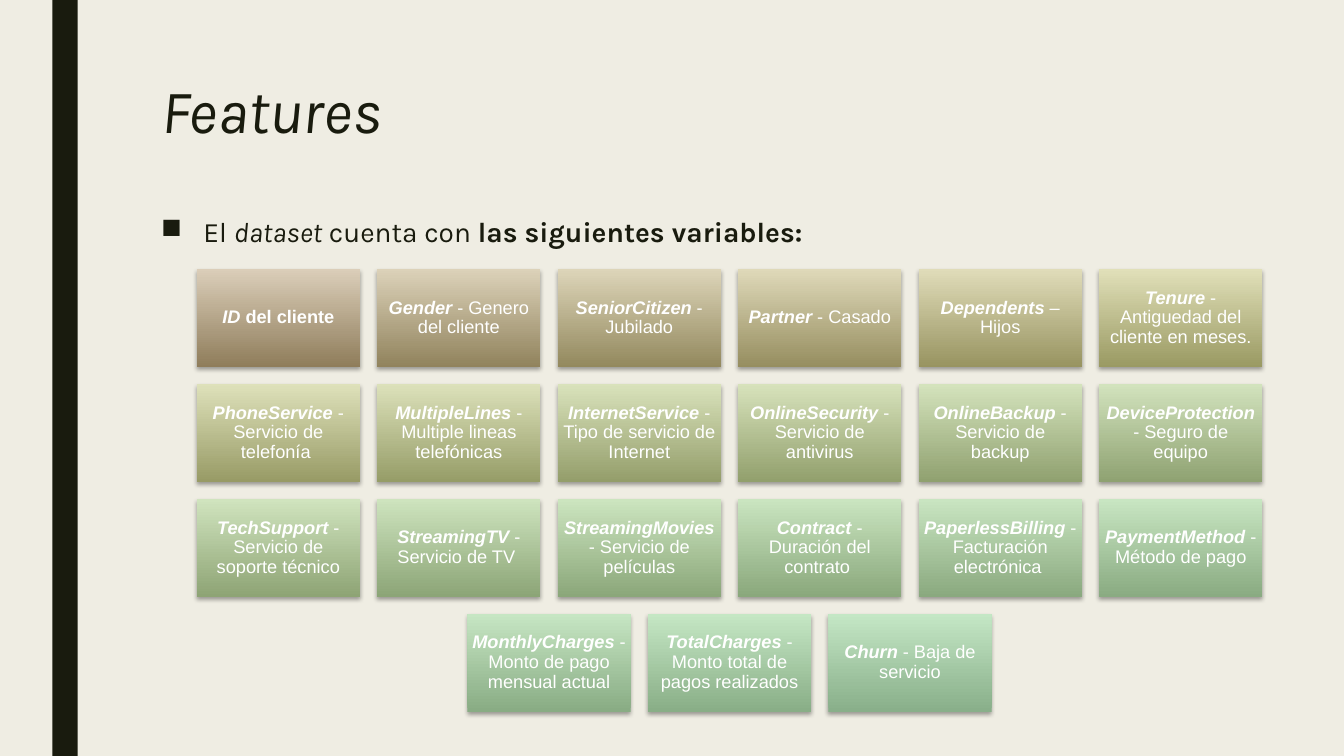
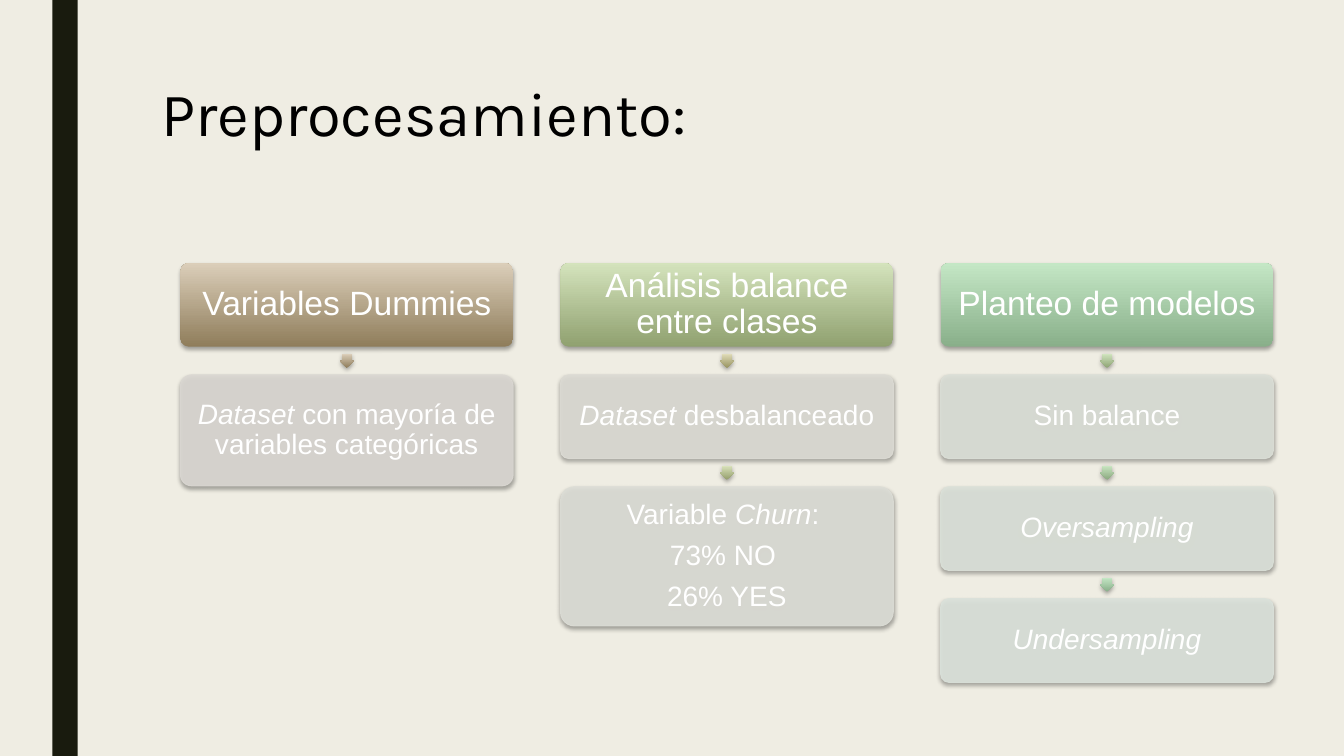
from dataclasses import dataclass
from typing import NamedTuple

from lxml import etree
from pptx import Presentation
from pptx.dml.color import RGBColor
from pptx.enum.shapes import MSO_SHAPE
from pptx.enum.text import MSO_ANCHOR, PP_ALIGN
from pptx.oxml.ns import qn
from pptx.util import Inches, Pt

RECT = MSO_SHAPE.RECTANGLE
ROUNDED = MSO_SHAPE.ROUNDED_RECTANGLE
ARROW = MSO_SHAPE.RIGHT_ARROW
TOP, MIDDLE, BOTTOM = MSO_ANCHOR.TOP, MSO_ANCHOR.MIDDLE, MSO_ANCHOR.BOTTOM
LEFT, CENTER, JUSTIFY = PP_ALIGN.LEFT, PP_ALIGN.CENTER, PP_ALIGN.JUSTIFY


@dataclass(frozen=True)
class Theme:
    paper: str = "EFEDE3"
    ink: str = "191B0E"
    black: str = "000000"
    white: str = "FFFFFF"
    dark_ramp: tuple[str, ...] = ("8F7D5B", "9A9A63", "90A170", "8AA87C", "89AF8A")
    light_ramp: tuple[str, ...] = ("DBCEB9", "E1E0B9", "D4E3BC", "CAE5C0", "C4E7C5")
    step_tints: tuple[str, ...] = ("DAD7D2", "DCDBD4", "DCDDD6", "DBDFD7", "DBE1D9", "DBE2DB")
    heading_font: str = "Karla"
    diagram_font: str = "Arial"
    title_size: int = 44
    header_size: int = 24
    body_size: int = 20
    tile_size: int = 13


class Box(NamedTuple):
    left: float
    top: float
    width: float
    height: float


class Run(NamedTuple):
    text: str
    bold: bool = False
    italic: bool = False


class Style(NamedTuple):
    font: str
    size: int
    color: str
    align: PP_ALIGN
    spacing: float
    anchor: MSO_ANCHOR
    margins: tuple[float, float, float, float]
    after: float = 0


class Feature(NamedTuple):
    name: str
    meaning: str
    bold_meaning: bool = False


class Step(NamedTuple):
    height: float
    paragraphs: list[list[Run]]


class Stage(NamedTuple):
    header: str
    steps: list[Step]


THEME = Theme()
TITLE_MARGINS = (0.1, 0.05, 0.1, 0.05)
TILE_STYLE = Style(THEME.diagram_font, THEME.tile_size, THEME.white, CENTER, 0.9, MIDDLE, (0.05,) * 4)
HEADER_STYLE = Style(THEME.diagram_font, THEME.header_size, THEME.white, CENTER, 0.9, MIDDLE, (0.03,) * 4)
STEP_STYLE = HEADER_STYLE._replace(size=THEME.body_size, after=8)
INTRO_STYLE = Style(THEME.heading_font, THEME.body_size, THEME.ink, JUSTIFY, 0.94, BOTTOM, (0.1, 0.05, 0.1, 0.1))

FEATURE_ROWS = [
    [
        Feature("ID", " del cliente", True),
        Feature("Gender", " - Genero del cliente"),
        Feature("SeniorCitizen", " - Jubilado"),
        Feature("Partner", " - Casado"),
        Feature("Dependents", " – Hijos"),
        Feature("Tenure", " - Antiguedad del cliente en meses."),
    ],
    [
        Feature("PhoneService", " - Servicio de telefonía "),
        Feature("MultipleLines", " - Multiple lineas telefónicas"),
        Feature("InternetService", " - Tipo de servicio de Internet"),
        Feature("OnlineSecurity", " - Servicio de antivirus"),
        Feature("OnlineBackup", " - Servicio de backup"),
        Feature("DeviceProtection", " - Seguro de equipo"),
    ],
    [
        Feature("TechSupport", " - Servicio de soporte técnico"),
        Feature("StreamingTV", " - Servicio de TV "),
        Feature("StreamingMovies", " - Servicio de películas"),
        Feature("Contract", " - Duración del contrato "),
        Feature("PaperlessBilling", " - Facturación electrónica "),
        Feature("PaymentMethod", " - Método de pago"),
    ],
    [
        Feature("MonthlyCharges", " - Monto de pago mensual actual"),
        Feature("TotalCharges", " - Monto total de pagos realizados"),
        Feature("Churn", " - Baja de servicio"),
    ],
]

STAGES = [
    Stage("Variables Dummies", [
        Step(1.1, [[Run("Dataset", italic=True), Run(" con mayoría de variables categóricas")]]),
    ]),
    Stage("Análisis balance entre clases", [
        Step(0.83, [[Run("Dataset", italic=True), Run(" desbalanceado")]]),
        Step(1.38, [
            [Run("Variable "), Run("Churn", italic=True), Run(": ")],
            [Run("73% NO ")],
            [Run("26% YES")],
        ]),
    ]),
    Stage("Planteo de modelos", [
        Step(0.83, [[Run("Sin balance")]]),
        Step(0.83, [[Run("Oversampling", italic=True)]]),
        Step(0.83, [[Run("Undersampling", italic=True)]]),
    ]),
]


def rgb(color: str) -> RGBColor:
    return RGBColor.from_string(color)


def blend(ramp: tuple[str, ...], fraction: float) -> RGBColor:
    position = fraction * (len(ramp) - 1)
    start = min(int(position), len(ramp) - 2)
    share = position - start
    pairs = zip(rgb(ramp[start]), rgb(ramp[start + 1]))
    return RGBColor(*(round(a + (b - a) * share) for a, b in pairs))


def apply(target, values: dict) -> None:
    for attribute, value in values.items():
        setattr(target, attribute, value)


def write(frame, paragraphs: list[list[Run]], style: Style) -> None:
    left, top, right, bottom = map(Inches, style.margins)
    apply(frame, {
        "word_wrap": True, "vertical_anchor": style.anchor,
        "margin_left": left, "margin_top": top,
        "margin_right": right, "margin_bottom": bottom,
    })
    for index, runs in enumerate(paragraphs):
        paragraph = frame.add_paragraph() if index else frame.paragraphs[0]
        apply(paragraph, {
            "alignment": style.align, "line_spacing": style.spacing,
            "space_before": Pt(0), "space_after": Pt(style.after),
        })
        for part in runs:
            run = paragraph.add_run()
            run.text = part.text
            apply(run.font, {
                "name": style.font, "size": Pt(style.size),
                "bold": part.bold, "italic": part.italic,
            })
            run.font.color.rgb = rgb(style.color)


def add_text(slide, box: Box, runs: list[Run], style: Style):
    frame = slide.shapes.add_textbox(*map(Inches, box)).text_frame
    write(frame, [runs], style)
    return frame


def add_block(slide, kind: MSO_SHAPE, box: Box):
    block = slide.shapes.add_shape(kind, *map(Inches, box))
    block.shadow.inherit = False
    block.line.fill.background()
    return block


def cast_shadow(block) -> None:
    effects = block.element.spPr.find(qn("a:effectLst"))
    shadow = etree.SubElement(effects, qn("a:outerShdw"), {
        "blurRad": str(Pt(3.1)), "dist": str(Pt(1.8)), "dir": "5400000", "rotWithShape": "0",
    })
    color = etree.SubElement(shadow, qn("a:srgbClr"), val=THEME.black)
    etree.SubElement(color, qn("a:alpha"), val="35000")


def add_gradient_block(slide, kind: MSO_SHAPE, box: Box, fraction: float):
    block = add_block(slide, kind, box)
    block.fill.gradient()
    block.fill.gradient_angle = 90
    for stop, ramp in zip(block.fill.gradient_stops, (THEME.dark_ramp, THEME.light_ramp)):
        stop.color.rgb = blend(ramp, fraction)
    block.element.spPr.find(qn("a:gradFill")).set("rotWithShape", "0")
    cast_shadow(block)
    return block


def add_step_block(slide, box: Box, tint: str):
    block = add_block(slide, ROUNDED, box)
    block.fill.solid()
    block.fill.fore_color.rgb = rgb(tint)
    block.line.color.rgb = rgb(tint)
    block.line.width = Pt(0.75)
    for color in block.element.spPr.iter(qn("a:srgbClr")):
        etree.SubElement(color, qn("a:alpha"), val="90000")
    cast_shadow(block)
    return block


def round_corners(block, box: Box) -> None:
    block.adjustments[0] = 0.1


def add_titled_slide(prs, title: Run, color: str, spacing: float):
    slide = prs.slides.add_slide(prs.slide_layouts[6])
    band = add_block(slide, RECT, Box(0.52, 0, 0.25, 7.5))
    band.fill.solid()
    band.fill.fore_color.rgb = rgb(THEME.ink)
    style = Style(THEME.heading_font, THEME.title_size, color, LEFT, spacing, TOP, TITLE_MARGINS)
    add_text(slide, Box(1.5, 0.75, 10.5, 1.62), [title], style)
    return slide


def add_bullet(paragraph) -> None:
    properties = paragraph._p.get_or_add_pPr()
    apply_indent = {"marL": str(Inches(0.42)), "indent": str(-Inches(0.42))}
    for name, value in apply_indent.items():
        properties.set(name, value)
    color = etree.SubElement(properties, qn("a:buClr"))
    etree.SubElement(color, qn("a:srgbClr"), val=THEME.ink)
    etree.SubElement(properties, qn("a:buChar"), char="■")


def build_features(prs) -> None:
    slide = add_titled_slide(prs, Run("Features", italic=True), THEME.ink, 0.89)
    intro = [
        Run("El "), Run("dataset", italic=True), Run(" cuenta con "),
        Run("las siguientes variables:", bold=True),
    ]
    frame = add_text(slide, Box(1.5, 1.74, 10.5, 0.83), intro, INTRO_STYLE)
    add_bullet(frame.paragraphs[0])

    columns = len(FEATURE_ROWS[0])
    last = sum(map(len, FEATURE_ROWS)) - 1
    for row, features in enumerate(FEATURE_ROWS):
        offset = (columns - len(features)) / 2
        for column, feature in enumerate(features):
            box = Box(1.95 + 1.79 * (column + offset), 2.67 + 1.14 * row, 1.62, 0.97)
            tile = add_gradient_block(slide, RECT, box, (row * columns + column) / last)
            runs = [Run(feature.name, True, True), Run(feature.meaning, feature.bold_meaning)]
            write(tile.text_frame, [runs], TILE_STYLE)


def build_preprocessing(prs) -> None:
    slide = add_titled_slide(prs, Run("Preprocesamiento:"), THEME.black, 0.94)
    width, header_height, gap, arrow_side = 3.3, 0.83, 0.28, 0.14
    last_step = len(THEME.step_tints) - 1
    step_number = 0
    for column, stage in enumerate(STAGES):
        left = 1.79 + 3.77 * column
        bottom = 2.61 + header_height
        box = Box(left, 2.61, width, header_height)
        header = add_gradient_block(slide, ROUNDED, box, column / (len(STAGES) - 1))
        header.adjustments[0] = 0.1
        write(header.text_frame, [[Run(stage.header)]], HEADER_STYLE)
        for step in stage.steps:
            arrow_box = Box(
                left + (width - arrow_side) / 2, bottom + (gap - arrow_side) / 2, arrow_side, arrow_side
            )
            arrow = add_gradient_block(slide, ARROW, arrow_box, step_number / last_step)
            arrow.rotation = 90
            arrow.adjustments[0] = 0.67
            step_box = Box(left, bottom + gap, width, step.height)
            block = add_step_block(slide, step_box, THEME.step_tints[step_number])
            block.adjustments[0] = 0.1
            write(block.text_frame, step.paragraphs, STEP_STYLE)
            bottom += gap + step.height
            step_number += 1


def main() -> None:
    prs = Presentation()
    apply(prs, {"slide_width": Inches(13.33), "slide_height": Inches(7.5)})
    backdrop = prs.slide_master.background.fill
    backdrop.solid()
    backdrop.fore_color.rgb = rgb(THEME.paper)
    build_features(prs)
    build_preprocessing(prs)
    prs.save("out.pptx")


if __name__ == "__main__":
    main()
